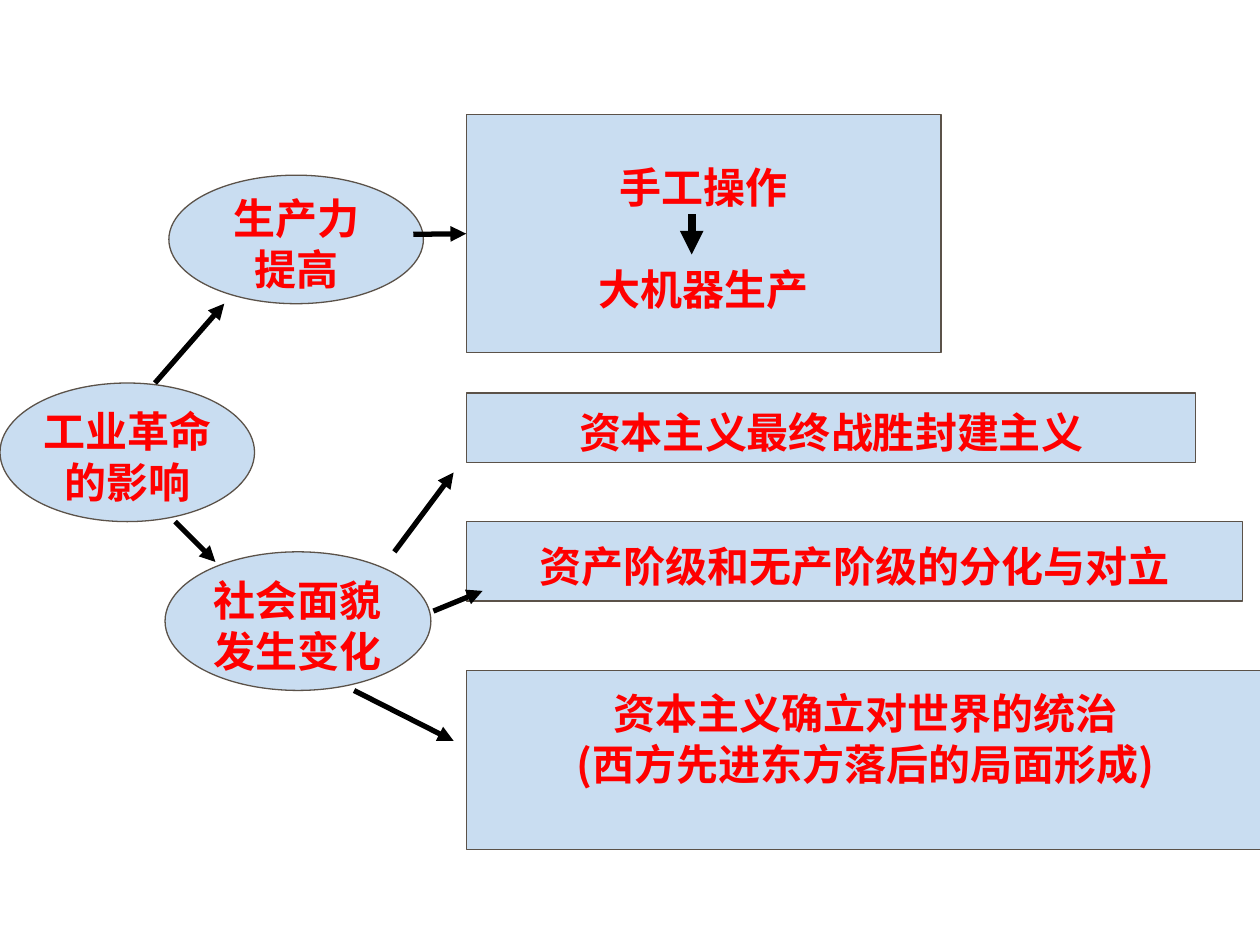
from dataclasses import dataclass

from lxml.etree import SubElement
from pptx import Presentation
from pptx.dml.color import RGBColor
from pptx.enum.shapes import MSO_CONNECTOR, MSO_SHAPE
from pptx.enum.text import MSO_ANCHOR, PP_ALIGN
from pptx.oxml.ns import qn
from pptx.util import Inches, Pt


@dataclass(frozen=True)
class Theme:
    fill: RGBColor = RGBColor(0xC9, 0xDD, 0xF1)
    outline: RGBColor = RGBColor(0x5B, 0x52, 0x49)
    text: RGBColor = RGBColor(0xFF, 0x00, 0x00)
    arrow: RGBColor = RGBColor(0x00, 0x00, 0x00)
    font: str = "Noto Sans CJK SC"
    size: Pt = Pt(24)
    line_height: Pt = Pt(29)
    outline_width: Pt = Pt(0.75)
    arrow_width: Pt = Pt(3)
    bold_arrow_width: Pt = Pt(4.5)


THEME = Theme()
EFFECT_LEFT = 3.7


def format_paragraph(paragraph):
    paragraph.alignment = PP_ALIGN.CENTER
    paragraph.line_spacing = THEME.line_height
    font = paragraph.font
    font.name = THEME.font
    font.size = THEME.size
    font.bold = True
    font.color.rgb = THEME.text
    defaults = paragraph._p.get_or_add_pPr().find(qn("a:defRPr"))
    SubElement(defaults, qn("a:ea"), typeface=THEME.font)


def add_node(slide, kind, left, top, width, height, lines):
    node = slide.shapes.add_shape(
        kind, Inches(left), Inches(top), Inches(width), Inches(height))
    node.shadow.inherit = False
    node.fill.solid()
    node.fill.fore_color.rgb = THEME.fill
    node.line.color.rgb = THEME.outline
    node.line.width = THEME.outline_width
    frame = node.text_frame
    frame.word_wrap = False
    frame.vertical_anchor = MSO_ANCHOR.MIDDLE
    frame.margin_top = Inches(0.11)
    frame.text = "\n".join(lines)
    for paragraph in frame.paragraphs:
        format_paragraph(paragraph)
    return node


def add_topic(slide, left, top, width, height, *lines):
    return add_node(slide, MSO_SHAPE.OVAL, left, top, width, height, lines)


def add_effect(slide, top, width, height, *lines):
    return add_node(
        slide, MSO_SHAPE.RECTANGLE, EFFECT_LEFT, top, width, height, lines)


def add_arrow(slide, start, end, width=THEME.arrow_width):
    arrow = slide.shapes.add_connector(
        MSO_CONNECTOR.STRAIGHT, *map(Inches, start + end))
    arrow.line.color.rgb = THEME.arrow
    arrow.line.width = width
    SubElement(arrow.line._get_or_add_ln(), qn("a:tailEnd"), type="triangle")
    SubElement(arrow._element.spPr, qn("a:effectLst"))
    return arrow


def main():
    deck = Presentation()
    deck.slide_width, deck.slide_height = Inches(10), Inches(7.5)
    slide = deck.slides.add_slide(deck.slide_layouts[6])

    add_topic(slide, 0, 3.04, 2.02, 1.1, "工业革命", "的影响")
    add_topic(slide, 1.34, 1.39, 2.02, 1.02, "生产力", "提高")
    add_topic(slide, 1.31, 4.38, 2.11, 1.1, "社会面貌", "发生变化")

    production = add_effect(slide, 0.91, 3.77, 1.89, "手工操作", "大机器生产")
    production.text_frame.paragraphs[1].space_before = THEME.line_height
    add_effect(slide, 3.12, 5.79, 0.55, "资本主义最终战胜封建主义")
    add_effect(slide, 4.14, 6.16, 0.63, "资产阶级和无产阶级的分化与对立")
    domination = add_effect(
        slide, 5.32, 6.34, 1.42,
        "资本主义确立对世界的统治", "(西方先进东方落后的局面形成)")
    domination.text_frame.margin_bottom = Inches(0.05) + THEME.line_height

    for start, end in (
        ((1.39, 4.14), (1.71, 4.46)),
        ((1.23, 3.04), (1.78, 2.41)),
        ((3.44, 4.85), (3.83, 4.69)),
        ((2.81, 5.48), (3.6, 5.88)),
        ((3.13, 4.38), (3.6, 3.75)),
    ):
        add_arrow(slide, start, end)
    to_production = add_arrow(slide, (3.28, 1.86), (EFFECT_LEFT, 1.86))
    to_production.end_connect(production, 1)
    add_arrow(slide, (5.49, 1.7), (5.49, 2.02), THEME.bold_arrow_width)

    deck.save("out.pptx")


if __name__ == "__main__":
    main()
